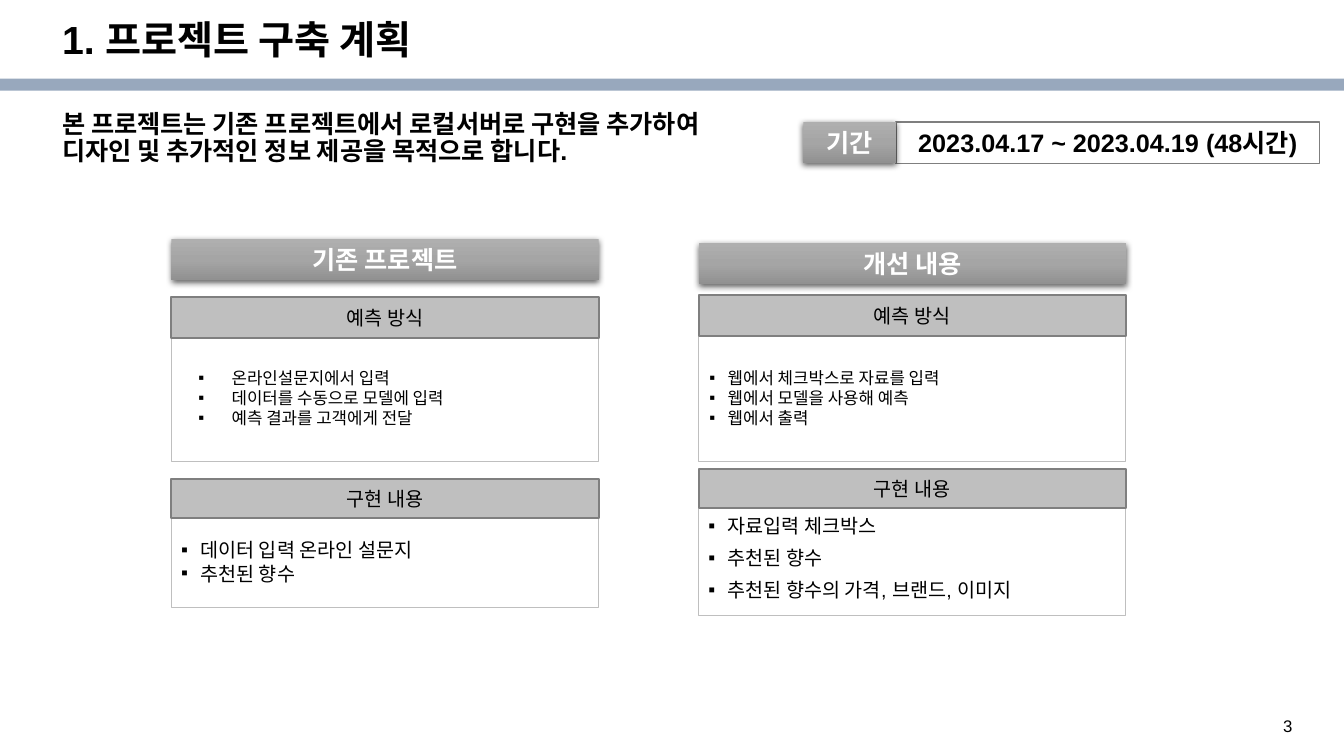
import copy
import lxml.etree
import pptx
import pptx.util
import pptx.dml.color
import pptx.enum.shapes
import pptx.enum.text
import pptx.oxml.ns

Pt = pptx.util.Pt
RGBColor = pptx.dml.color.RGBColor
qn = pptx.oxml.ns.qn
ALIGN = pptx.enum.text.PP_ALIGN
ANCHOR = pptx.enum.text.MSO_ANCHOR

BLACK = RGBColor(0x00, 0x00, 0x00)
WHITE = RGBColor(0xFF, 0xFF, 0xFF)
BAND = RGBColor(0x98, 0xA8, 0xBD)
SILVER = RGBColor(0xBF, 0xBF, 0xBF)
GRAY = RGBColor(0x7F, 0x7F, 0x7F)
SHADE_TOP = RGBColor(0xAF, 0xAF, 0xAF)
SHADE_MIDDLE = RGBColor(0xA5, 0xA5, 0xA5)
SHADE_BOTTOM = RGBColor(0x91, 0x91, 0x91)

deck = pptx.Presentation()
deck.slide_width = Pt(960)
deck.slide_height = Pt(540)
page = deck.slides.add_slide(deck.slide_layouts[6])


def write(box, lines, size, color=BLACK, bold=False, font="Arial", align=ALIGN.LEFT,
          anchor=ANCHOR.MIDDLE, inset=(7.2, 3.6), spacing=None, gap=0, bullet=None):
    frame = box.text_frame
    frame.word_wrap = True
    frame.vertical_anchor = anchor
    frame.margin_left = frame.margin_right = Pt(inset[0])
    frame.margin_top = frame.margin_bottom = Pt(inset[1])
    frame.text = "\n".join(lines)
    for index, para in enumerate(frame.paragraphs):
        para.alignment = align
        if spacing:
            para.line_spacing = spacing
        if gap and index:
            para.space_before = Pt(gap)
        if bullet:
            properties = para._p.get_or_add_pPr()
            properties.set("marL", str(Pt(bullet[0])))
            properties.set("indent", str(Pt(-bullet[1])))
            bullet_color = lxml.etree.SubElement(properties, qn("a:buClr"))
            lxml.etree.SubElement(bullet_color, qn("a:srgbClr"), val=str(BLACK))
            lxml.etree.SubElement(properties, qn("a:buFont"), typeface="Arial")
            lxml.etree.SubElement(properties, qn("a:buChar"), char="▪")
        for span in para.runs:
            span.font.name = font
            span.font.size = Pt(size)
            span.font.bold = bold
            span.font.color.rgb = color


def add_box(left, top, width, height, fill=None, line=None, line_width=0.75):
    box = page.shapes.add_shape(pptx.enum.shapes.MSO_SHAPE.RECTANGLE,
                                Pt(left), Pt(top), Pt(width), Pt(height))
    box.shadow.inherit = False
    if line is None:
        box.line.fill.background()
    else:
        box.line.color.rgb = line
        box.line.width = Pt(line_width)
    if fill is not None:
        box.fill.solid()
        box.fill.fore_color.rgb = fill
        return box
    box.fill.gradient()
    box.fill.gradient_angle = 270
    stops = box.fill.gradient_stops
    stops[0].color.rgb = SHADE_TOP
    stops[0].position = 0
    stops[1].color.rgb = SHADE_BOTTOM
    stops[1].position = 1
    first_stop = box._element.spPr.find(".//" + qn("a:gs"))
    first_stop.addnext(copy.deepcopy(first_stop))
    middle = box.fill.gradient_stops[1]
    middle.color.rgb = SHADE_MIDDLE
    middle.position = 0.5
    effects = box._element.spPr.find(qn("a:effectLst"))
    shadow = lxml.etree.SubElement(effects, qn("a:outerShdw"), blurRad=str(Pt(4.5)),
                                   dist=str(Pt(1.5)), dir="5400000", algn="ctr", rotWithShape="0")
    shadow_color = lxml.etree.SubElement(shadow, qn("a:srgbClr"), val=str(BLACK))
    lxml.etree.SubElement(shadow_color, qn("a:alpha"), val="62000")
    return box


add_box(0, 56.2, 960, 8.6, BAND)

number = page.shapes.add_textbox(Pt(909.4), Pt(507.6), Pt(37.4), Pt(19.4))
write(number, ["3"], 12, anchor=ANCHOR.TOP)
title = page.shapes.add_textbox(Pt(37.4), Pt(10.8), Pt(828), Pt(38.2))
write(title, ["1. 프로젝트 구축 계획"], 28, bold=True, spacing=0.9)
summary = page.shapes.add_textbox(Pt(37.4), Pt(76.3), Pt(864.7), Pt(51.1))
write(summary, ["본 프로젝트는 기존 프로젝트에서 로컬서버로 구현을 추가하여",
                "디자인 및 추가적인 정보 제공을 목적으로 합니다."],
      18, bold=True, anchor=ANCHOR.TOP, spacing=0.9)

period = add_box(640.1, 87.1, 302.4, 29.5, WHITE, GRAY, 1)
write(period, ["2023.04.17 ~ 2023.04.19 (48시간)"], 18, bold=True, align=ALIGN.CENTER)
period_label = add_box(573.8, 87.1, 66.2, 29.5)
write(period_label, ["기간"], 18, WHITE, True, align=ALIGN.CENTER)

COLUMN_WIDTH = 305.3
NARROW = (13.7, 13.7)
columns = [
    (122.4, "기존 프로젝트", 170.6, [
        ("예측 방식", 212.4, 28.8, 239, 90.7, 12, (36, 23.8), 0,
         ["온라인설문지에서 입력", "데이터를 수동으로 모델에 입력", "예측 결과를 고객에게 전달"]),
        ("구현 내용", 342, 28.1, 367.9, 66.2, 14, NARROW, 0,
         ["데이터 입력 온라인 설문지", "추천된 향수"]),
    ]),
    (499, "개선 내용", 173.5, [
        ("예측 방식", 211, 28.8, 239, 90.7, 12, (13.7, 13), 0,
         ["웹에서 체크박스로 자료를 입력", "웹에서 모델을 사용해 예측", "웹에서 출력"]),
        ("구현 내용", 334.8, 28.1, 357.1, 82.8, 14, NARROW, 6,
         ["자료입력 체크박스", "추천된 향수", "추천된 향수의 가격, 브랜드, 이미지"]),
    ]),
]
for left, heading, heading_top, sections in columns:
    banner = add_box(left, heading_top, COLUMN_WIDTH, 29.5)
    write(banner, [heading], 18, WHITE, True, align=ALIGN.CENTER)
    for label, label_top, label_height, top, height, size, bullet, gap, items in sections:
        body = add_box(left, top, COLUMN_WIDTH, height, WHITE, SILVER)
        write(body, items, size, gap=gap, bullet=bullet)
        header = add_box(left, label_top, COLUMN_WIDTH, label_height, SILVER, GRAY, 1.5)
        write(header, [label], 14, font="Karla", align=ALIGN.CENTER, inset=(5.8, 5.8))

deck.save("out.pptx")
